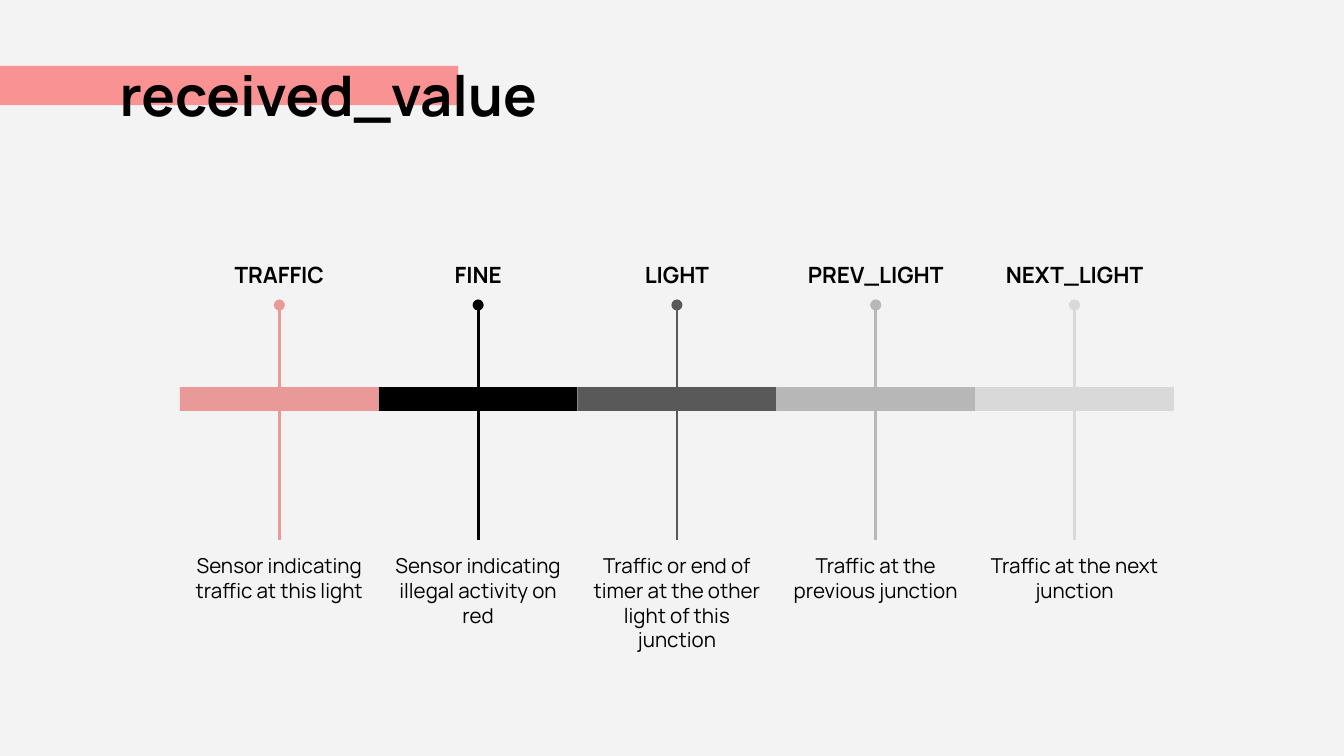
from dataclasses import dataclass

from lxml import etree
from pptx import Presentation
from pptx.dml.color import RGBColor
from pptx.enum import shapes, text
from pptx.oxml import ns
from pptx.util import Pt


@dataclass(frozen=True)
class Theme:
    font: str = "Manrope"
    background: str = "F3F3F3"
    accent: str = "FF3D3D"
    accent_alpha: int = 53
    ink: str = "000000"
    title_size: float = 30
    label_size: float = 12
    body_size: float = 11
    stem_width: float = 1.5


@dataclass(frozen=True)
class Signal:
    name: str
    meaning: str
    color: str


@dataclass(frozen=True)
class Box:
    left: float
    top: float
    width: float
    height: float

    def lengths(self):
        return Pt(self.left), Pt(self.top), Pt(self.width), Pt(self.height)


THEME = Theme()
SIGNALS = [
    Signal("TRAFFIC", "Sensor indicating traffic at this light", "EA9999"),
    Signal("FINE", "Sensor indicating illegal activity on red", "000000"),
    Signal("LIGHT", "Traffic or end of timer at the other light of this junction", "595959"),
    Signal("PREV_LIGHT", "Traffic at the previous junction", "B7B7B7"),
    Signal("NEXT_LIGHT", "Traffic at the next junction", "D9D9D9"),
]

# Timeline grid, in points
BAR_LEFT, BAR_TOP, BAR_WIDTH, BAR_HEIGHT = 96.4, 207.4, 106.5, 12.8
DOT_Y, STEM_END = 163.4, 289.2
LABEL_TOP, LABEL_WIDTH, LABEL_HEIGHT = 132.5, 126, 31
MEANING_WIDTH, MEANING_HEIGHT = 112.4, 41


def add_bar(slide, box: Box, color: str):
    bar = slide.shapes.add_shape(shapes.MSO_SHAPE.RECTANGLE, *box.lengths())
    bar.shadow.inherit = False
    bar.fill.solid()
    bar.fill.fore_color.rgb = RGBColor.from_string(color)
    bar.line.fill.background()
    return bar


def add_text(slide, box: Box, words: str, size: float, bold: bool = False,
             align=text.PP_ALIGN.CENTER, anchor=text.MSO_ANCHOR.TOP) -> None:
    frame = slide.shapes.add_textbox(*box.lengths()).text_frame
    frame.word_wrap = True
    frame.vertical_anchor = anchor
    frame.margin_left = frame.margin_right = Pt(7.2)
    frame.margin_top = frame.margin_bottom = Pt(7.2)
    paragraph = frame.paragraphs[0]
    paragraph.alignment = align
    run = paragraph.add_run()
    run.text = words
    run.font.name = THEME.font
    run.font.size = Pt(size)
    run.font.bold = bold
    run.font.color.rgb = RGBColor.from_string(THEME.ink)


def add_stem(slide, bar, side: int, x: float, end_y: float, color: str, dot: bool) -> None:
    stem = slide.shapes.add_connector(
        shapes.MSO_CONNECTOR.STRAIGHT, Pt(x), Pt(BAR_TOP), Pt(x), Pt(end_y))
    stem.begin_connect(bar, side)
    stem.line.color.rgb = RGBColor.from_string(color)
    stem.line.width = Pt(THEME.stem_width)
    if dot:
        etree.SubElement(stem.line._get_or_add_ln(), ns.qn("a:tailEnd"), type="oval")
    etree.SubElement(stem._element.spPr, ns.qn("a:effectLst"))


def add_signal(slide, index: int, signal: Signal) -> None:
    left = BAR_LEFT + index * BAR_WIDTH
    center = left + BAR_WIDTH / 2
    bar = add_bar(slide, Box(left, BAR_TOP, BAR_WIDTH, BAR_HEIGHT), signal.color)
    add_stem(slide, bar, 0, center, DOT_Y, signal.color, dot=True)
    add_stem(slide, bar, 2, center, STEM_END, signal.color, dot=False)
    add_text(slide, Box(center - LABEL_WIDTH / 2, LABEL_TOP, LABEL_WIDTH, LABEL_HEIGHT),
             signal.name, THEME.label_size, bold=True)
    add_text(slide, Box(center - MEANING_WIDTH / 2, STEM_END, MEANING_WIDTH, MEANING_HEIGHT),
             signal.meaning, THEME.body_size)


def main() -> None:
    deck = Presentation()
    deck.slide_width, deck.slide_height = Pt(720), Pt(405)
    slide = deck.slides.add_slide(deck.slide_layouts[6])
    slide.background.fill.solid()
    slide.background.fill.fore_color.rgb = RGBColor.from_string(THEME.background)

    # Title over a translucent band
    band = add_bar(slide, Box(0, 35.3, 245.5, 21), THEME.accent)
    accent = band._element.spPr.find(ns.qn("a:solidFill"))[0]
    etree.SubElement(accent, ns.qn("a:alpha"), val=str(THEME.accent_alpha * 1000))
    add_text(slide, Box(57, 16, 348.5, 59.6), "received_value", THEME.title_size, bold=True,
             align=text.PP_ALIGN.LEFT, anchor=text.MSO_ANCHOR.BOTTOM)

    # Timeline
    for index, signal in enumerate(SIGNALS):
        add_signal(slide, index, signal)

    deck.save("out.pptx")


if __name__ == "__main__":
    main()
